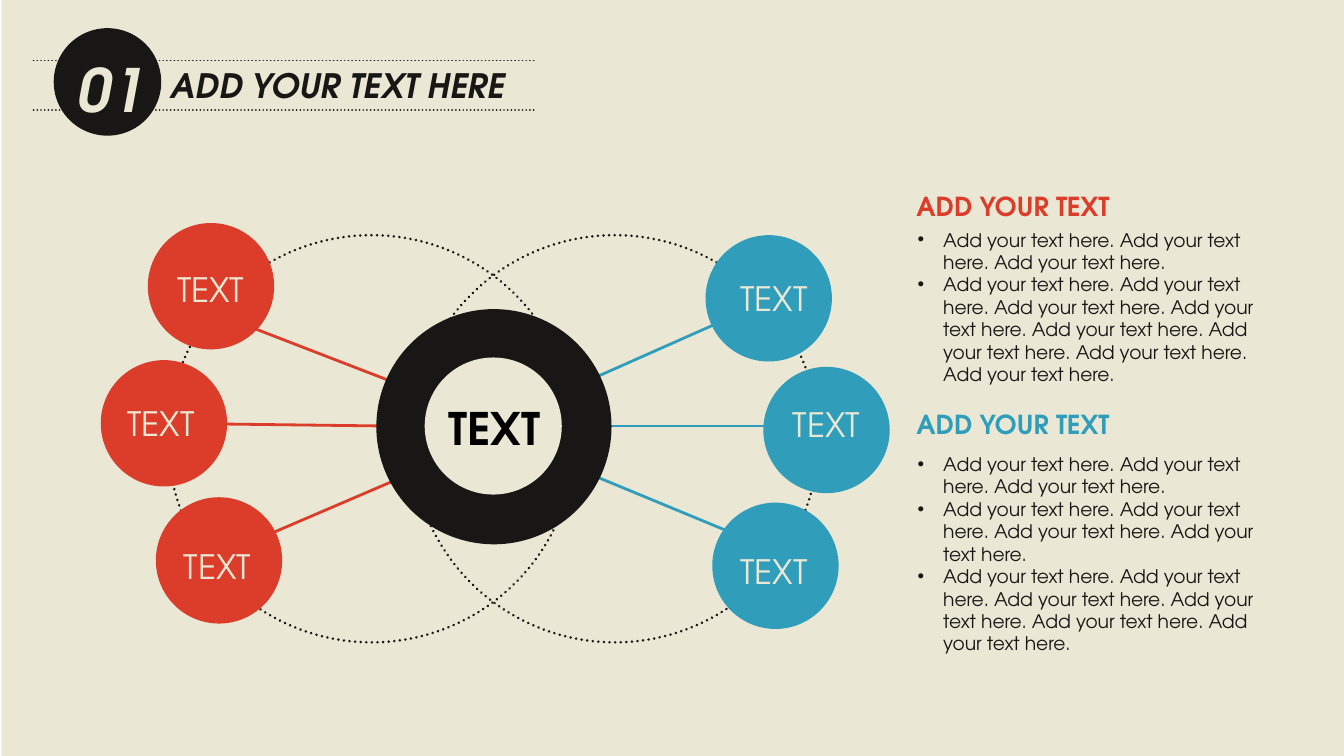
from lxml.etree import SubElement
from pptx import Presentation
from pptx.dml.color import RGBColor
from pptx.enum.dml import MSO_LINE
from pptx.enum.shapes import MSO_CONNECTOR, MSO_SHAPE
from pptx.enum.text import MSO_ANCHOR, MSO_AUTO_SIZE, PP_ALIGN
from pptx.oxml.ns import qn
from pptx.util import Inches, Pt

FONT = "TeX Gyre Adventor"
INK, CREAM, RED, BLUE = "181715", "EAE7D4", "DC3D2A", "309EBA"
SENTENCE = "Add your text here."
NODE_SIZE, ORBIT_SIZE = 0.94, 3.03

RULE_TOPS = [0.45, 0.82]
ORBIT_LEFTS = [1.25, 3.06]
RINGS = [(2.8, 2.3, 1.75, INK), (3.16, 2.66, 1.02, CREAM)]
SPOKES = [
    (RED, (1.57, 2.32), (3.72, 3.15)),
    (RED, (1.25, 3.15), (3.7, 3.18)),
    (RED, (1.55, 4.17), (3.67, 3.26)),
    (BLUE, (5.82, 4.12), (3.72, 3.25)),
    (BLUE, (6.1, 3.17), (3.6, 3.17)),
    (BLUE, (5.71, 2.24), (3.66, 3.15)),
]
NODES = [
    ("TEXT", RED, (1.1, 1.66), (1.22, 1.95)),
    ("TEXT", RED, (0.75, 2.68), (0.85, 2.95)),
    ("TEXT", RED, (1.16, 3.7), (1.27, 4.01)),
    ("TEXT", BLUE, (5.25, 1.75), (5.41, 2.02)),
    ("TEXT", BLUE, (5.68, 2.73), (5.8, 2.96)),
    ("TEXT", BLUE, (5.3, 3.74), (5.41, 4.05)),
]
SECTIONS = [
    ("ADD YOUR TEXT", RED, 1.37, 1.65, 1.28, [3, 8]),
    ("ADD YOUR TEXT", BLUE, 2.99, 3.32, 1.62, [3, 4, 6]),
]


def rgb(color):
    return RGBColor.from_string(color)


def box(*lengths):
    return [Inches(length) for length in lengths]


def write(paragraphs, at, size, color, bold=False, italic=False,
          wrap=False, bullets=False, holder=None):
    holder = holder or slide.shapes.add_textbox(*box(*at))
    holder.left, holder.top, holder.width, holder.height = box(*at)
    frame = holder.text_frame
    frame.text = "\n".join(paragraphs)
    frame.word_wrap = wrap
    frame.auto_size = MSO_AUTO_SIZE.SHAPE_TO_FIT_TEXT
    frame.vertical_anchor = MSO_ANCHOR.TOP
    for paragraph in frame.paragraphs:
        paragraph.alignment = PP_ALIGN.LEFT
        font = paragraph.runs[0].font
        font.name, font.size, font.bold, font.italic = FONT, Pt(size), bold, italic
        font.color.rgb = rgb(color)
        if bullets:
            props = paragraph._p.get_or_add_pPr()
            props.set("marL", str(Inches(0.19)))
            props.set("indent", str(-Inches(0.19)))
            SubElement(props, qn("a:buFont"), typeface="Arial")
            SubElement(props, qn("a:buChar"), char="•")


def draw(preset, left, top, width, height, fill=None):
    figure = slide.shapes.add_shape(preset, *box(left, top, width, height))
    figure.shadow.inherit = False
    if fill:
        figure.fill.solid()
        figure.fill.fore_color.rgb = rgb(fill)
        figure.line.fill.background()
    else:
        figure.fill.background()
        dress(figure.line, INK, 1.5, dotted=True)
    return figure


def circle(left, top, size, fill=None):
    return draw(MSO_SHAPE.OVAL, left, top, size, size, fill)


def dress(line, color, width, dotted=False):
    line.color.rgb = rgb(color)
    line.width = Pt(width)
    if dotted:
        line.dash_style = MSO_LINE.ROUND_DOT
        line._get_or_add_ln().set("cap", "rnd")


def connect(start, end, color, width, dotted=False, oval_end=False):
    link = slide.shapes.add_connector(MSO_CONNECTOR.STRAIGHT, *box(*start, *end))
    dress(link.line, color, width, dotted)
    if oval_end:
        SubElement(link.line._get_or_add_ln(), qn("a:tailEnd"), type="oval")
    SubElement(link._element.spPr, qn("a:effectLst"))


deck = Presentation()
deck.slide_width, deck.slide_height = Inches(10), Inches(10) * 9 // 16
slide = deck.slides.add_slide(deck.slide_layouts[5])
backdrop = draw(MSO_SHAPE.RECTANGLE, 0.01, 0, 9.99, 5.64, CREAM)
slide.shapes.title._element.addprevious(backdrop._element)

for top in RULE_TOPS:
    connect((0.25, top), (3.98, top), INK, 1, dotted=True)
circle(0.4, 0.21, 0.8, INK)
write(["ADD YOUR TEXT HERE"], (1.17, 0.43, 2.76, 0.4), 18, INK,
      bold=True, italic=True, holder=slide.shapes.title)
write(["01"], (0.48, 0.34, 0.7, 0.64), 32, CREAM, bold=True, italic=True)

for left in ORBIT_LEFTS:
    circle(left, 1.75, ORBIT_SIZE)
for color, start, end in SPOKES:
    connect(start, end, color, 1.5, oval_end=True)
for ring in RINGS:
    circle(*ring)
write(["TEXT"], (3.24, 2.93, 0.89, 0.51), 24, "000000", bold=True)
for label, color, corner, label_corner in NODES:
    circle(*corner, NODE_SIZE, color)
    write([label], (*label_corner, 0.72, 0.4), 18, CREAM)

for heading, color, heading_top, body_top, body_height, counts in SECTIONS:
    write([heading], (6.72, heading_top, 1.65, 0.34), 14, color, bold=True)
    points = [" ".join([SENTENCE] * count) for count in counts]
    write(points, (6.73, body_top, 2.84, body_height), 10, INK,
          wrap=True, bullets=True)

deck.save("out.pptx")
